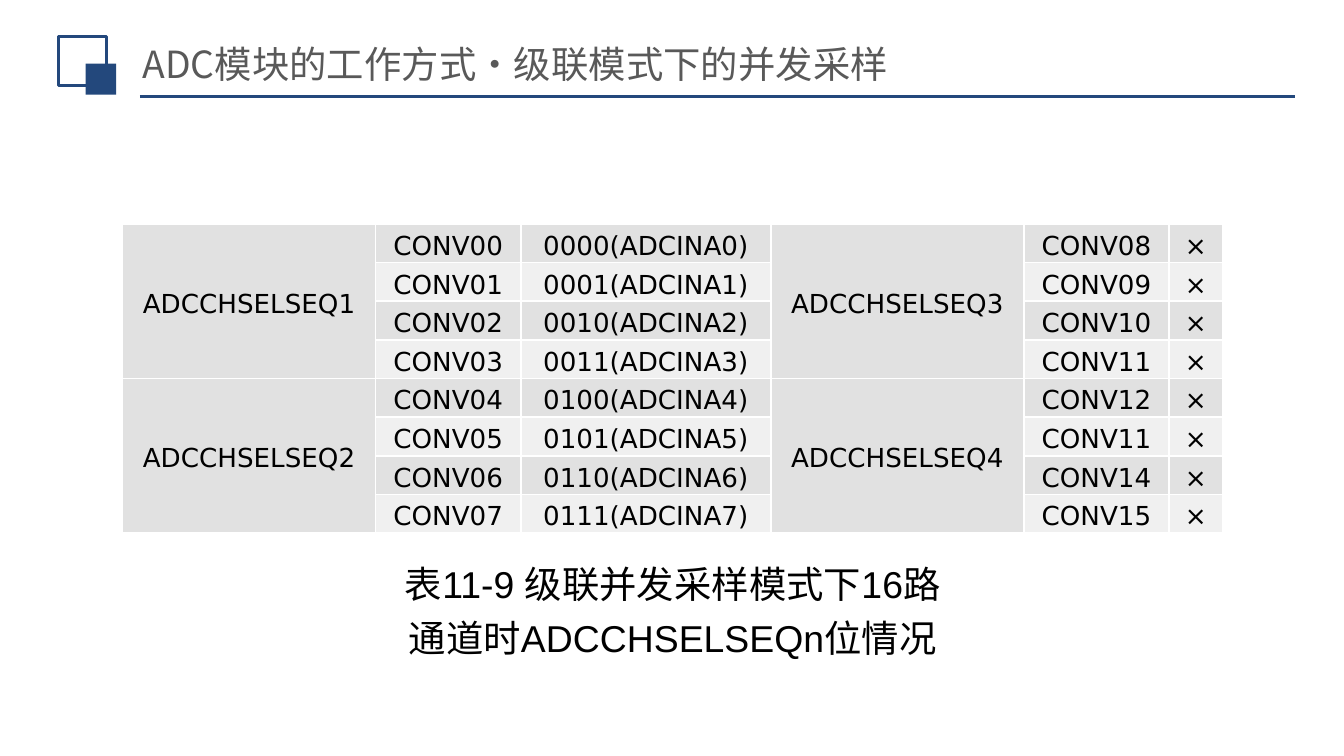
import pptx
import pptx.util
import pptx.dml.color
import pptx.enum.shapes
import pptx.enum.text
from lxml import etree

Pt = pptx.util.Pt
Anchor = pptx.enum.text.MSO_ANCHOR
Align = pptx.enum.text.PP_ALIGN

TITLE = "ADC模块的工作方式·级联模式下的并发采样"
CAPTION = "表11-9 级联并发采样模式下16路通道时ADCCHSELSEQn位情况"
REGISTERS = [("ADCCHSELSEQ1", "ADCCHSELSEQ3"), ("ADCCHSELSEQ2", "ADCCHSELSEQ4")]
CHANNELS = [
    ("CONV00", "0000(ADCINA0)", "CONV08", "×"),
    ("CONV01", "0001(ADCINA1)", "CONV09", "×"),
    ("CONV02", "0010(ADCINA2)", "CONV10", "×"),
    ("CONV03", "0011(ADCINA3)", "CONV11", "×"),
    ("CONV04", "0100(ADCINA4)", "CONV12", "×"),
    ("CONV05", "0101(ADCINA5)", "CONV11", "×"),
    ("CONV06", "0110(ADCINA6)", "CONV14", "×"),
    ("CONV07", "0111(ADCINA7)", "CONV15", "×"),
]

COLORS = {"navy": "23487C", "title": "595959", "text": "000000",
          "band": "E1E1E1", "light": "F0F0F0", "white": "FFFFFF"}
CJK_FONT = "Noto Sans CJK SC"
COLUMN_WIDTHS = [135.5, 77.8, 134, 135.5, 77.8, 28.8]
ROW_HEIGHT = 20.7
REGISTER_COLUMNS = (0, 3)
ROWS_PER_REGISTER = len(CHANNELS) // len(REGISTERS)


def rgb(name):
    return pptx.dml.color.RGBColor.from_string(COLORS[name])


def subelement(parent, tag, **attributes):
    return etree.SubElement(parent, pptx.oxml.ns.qn(tag), **attributes)


def write(paragraph, text, size, font, color):
    run = paragraph.add_run()
    run.text = text
    run.font.size = Pt(size)
    run.font.name = font
    run.font.color.rgb = rgb(color)
    subelement(run.font._element, "a:ea", typeface=CJK_FONT)


def add_square(left, top, width, height, fill=None, line=None):
    square = slide.shapes.add_shape(
        pptx.enum.shapes.MSO_SHAPE.RECTANGLE, Pt(left), Pt(top), Pt(width), Pt(height))
    square.shadow.inherit = False
    if fill:
        square.fill.solid()
        square.fill.fore_color.rgb = rgb(fill)
    else:
        square.fill.background()
    if line:
        square.line.color.rgb = rgb(line)
        square.line.width = Pt(1.5)
    else:
        square.line.fill.background()


def add_text(left, top, width, height):
    frame = slide.shapes.add_textbox(Pt(left), Pt(top), Pt(width), Pt(height)).text_frame
    frame.word_wrap = True
    return frame


def add_borders(cell):
    """Put white borders before the fill, as the schema orders them."""
    properties = cell._tc.get_or_add_tcPr()
    for place, side in enumerate(("a:lnL", "a:lnR", "a:lnT", "a:lnB")):
        border = subelement(properties, side, w=str(Pt(1)))
        properties.insert(place, border)
        solid = subelement(border, "a:solidFill")
        subelement(solid, "a:srgbClr", val=COLORS["white"])


def fill_cell(cell, text, color):
    cell.fill.solid()
    cell.fill.fore_color.rgb = rgb(color)
    add_borders(cell)
    cell.margin_left = cell.margin_right = Pt(7.2)
    cell.margin_top = cell.margin_bottom = 0
    cell.vertical_anchor = Anchor.MIDDLE
    paragraph = cell.text_frame.paragraphs[0]
    paragraph.alignment = Align.CENTER
    paragraph.line_spacing = 1.2
    if text:
        write(paragraph, text, 14, "DejaVu Sans", "text")


presentation = pptx.Presentation()
presentation.slide_width, presentation.slide_height = Pt(720), Pt(405)
slide = presentation.slides.add_slide(presentation.slide_layouts[6])

# Header
rule = slide.shapes.add_connector(
    pptx.enum.shapes.MSO_CONNECTOR.STRAIGHT, Pt(75), Pt(51.7), Pt(693.5), Pt(51.7))
rule.line.color.rgb = rgb("navy")
rule.line.width = Pt(1.25)
subelement(rule._element.spPr, "a:effectLst")
add_square(31.2, 19.6, 25.8, 26.4, line="navy")
add_square(45.8, 34.1, 16.4, 16.6, fill="navy")

heading = add_text(71.3, 21, 464.4, 26)
heading.margin_left = heading.margin_right = Pt(5)
heading.margin_top = heading.margin_bottom = Pt(2.7)
heading.vertical_anchor = Anchor.MIDDLE
write(heading.paragraphs[0], TITLE, 20, CJK_FONT, "title")

# Register table
table = slide.shapes.add_table(
    len(CHANNELS), len(COLUMN_WIDTHS), Pt(65.7), Pt(120),
    Pt(sum(COLUMN_WIDTHS)), Pt(ROW_HEIGHT * len(CHANNELS))).table
for column, width in zip(table.columns, COLUMN_WIDTHS):
    column.width = Pt(width)
for index, (left_conv, left_input, right_conv, right_input) in enumerate(CHANNELS):
    table.rows[index].height = Pt(ROW_HEIGHT)
    group, offset = divmod(index, ROWS_PER_REGISTER)
    left_register, right_register = REGISTERS[group] if offset == 0 else ("", "")
    texts = (left_register, left_conv, left_input, right_register, right_conv, right_input)
    for column, text in enumerate(texts):
        fill_cell(table.cell(index, column), text, "light" if index % 2 else "band")
for first in range(0, len(CHANNELS), ROWS_PER_REGISTER):
    for column in REGISTER_COLUMNS:
        table.cell(first, column).merge(table.cell(first + ROWS_PER_REGISTER - 1, column))

# Caption
caption = add_text(205.2, 292.3, 310.3, 65.5).paragraphs[0]
caption.alignment = Align.CENTER
caption.line_spacing = 1.2
write(caption, CAPTION, 20, "Arial", "text")

presentation.save("out.pptx")
